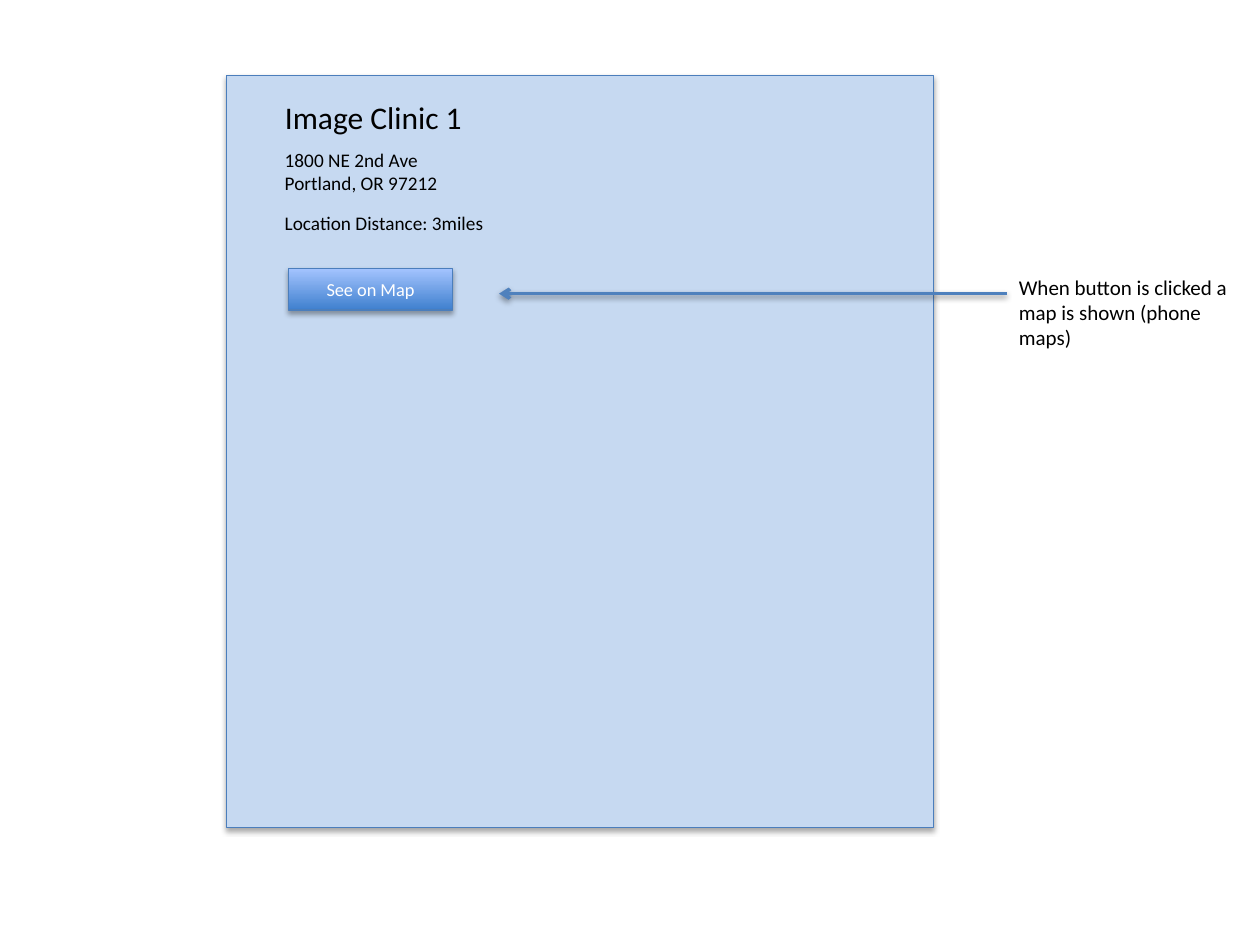
from dataclasses import dataclass

from lxml.etree import SubElement
from pptx import Presentation
from pptx.dml.color import RGBColor
from pptx.enum.shapes import MSO_CONNECTOR, MSO_SHAPE
from pptx.enum.text import MSO_ANCHOR, MSO_AUTO_SIZE, PP_ALIGN
from pptx.oxml.ns import qn
from pptx.util import Cm, Pt

FONT = "Calibri"
BLACK, WHITE = "000000", "FFFFFF"
PANEL_FILL, EDGE, ARROW = "C6D9F1", "4B7EBC", "4F81BD"
BUTTON_BOTTOM, BUTTON_TOP = "3F80CE", "A4C4FF"
TEXT_LEFT, NOTE_LEFT = 5.49, 20.29


@dataclass
class Area:
    left: float
    top: float
    width: float
    height: float

    def lengths(self) -> list:
        return [Cm(n) for n in (self.left, self.top, self.width, self.height)]


@dataclass
class Label:
    area: Area
    lines: list[str]
    size: float
    wrap: bool = False


LABELS = [
    Label(Area(TEXT_LEFT, 2.87, 3.61, 1.19), ["1800 NE 2nd Ave", "Portland, OR 97212"], 11),
    Label(Area(TEXT_LEFT, 4.14, 4.57, 0.74), ["Location Distance: 3miles"], 11),
    Label(Area(NOTE_LEFT, 5.41, 5.26, 1.27),
          ["When button is clicked a map is shown (phone maps)"], 12, True),
]


def color(value: str) -> RGBColor:
    return RGBColor.from_string(value)


def apply(target, values: dict) -> None:
    for name, value in values.items():
        setattr(target, name, value)


def write(box, lines: list[str], size: float, ink: str = BLACK,
          align=PP_ALIGN.LEFT, **frame_format) -> None:
    frame = box.text_frame
    apply(frame, frame_format)
    frame.text = "\n".join(lines)
    for para in frame.paragraphs:
        para.alignment = align
        for span in para.runs:
            apply(span.font, {"name": FONT, "size": Pt(size)})
            span.font.color.rgb = color(ink)


def add_shadow(shape, opacity: int, distance: float) -> None:
    effects = SubElement(shape.element.spPr, qn("a:effectLst"))
    shadow = SubElement(effects, qn("a:outerShdw"), blurRad=str(Pt(3.1)),
                        dist=str(Pt(distance)), dir="5400000", rotWithShape="0")
    ink = SubElement(shadow, qn("a:srgbClr"), val=BLACK)
    SubElement(ink, qn("a:alpha"), val=str(opacity * 1000))


def add_block(page, area: Area, fills: list[str]):
    """Draw a shadowed rectangle; two fills run from bottom to top."""
    block = page.shapes.add_shape(MSO_SHAPE.RECTANGLE, *area.lengths())
    if len(fills) == 1:
        block.fill.solid()
        block.fill.fore_color.rgb = color(fills[0])
    else:
        block.fill.gradient()
        block.fill.gradient_angle = 90
        for position, (stop, value) in enumerate(zip(block.fill.gradient_stops, fills)):
            stop.position = position
            stop.color.rgb = color(value)
    block.line.color.rgb = color(EDGE)
    block.line.width = Pt(0.75)
    add_shadow(block, 35, 1.8)
    return block


deck = Presentation()
apply(deck, {"slide_width": Cm(25.4), "slide_height": Cm(19.05)})
page = deck.slides.add_slide(deck.slide_layouts[5])

# Clinic panel, with the title brought in front of it
add_block(page, Area(4.57, 1.52, 14.25, 15.16), [PANEL_FILL])
title = page.shapes.title
title.element.getparent().append(title.element)
apply(title, dict(zip(("left", "top", "width", "height"),
                      Area(TEXT_LEFT, 1.85, 4.11, 1.02).lengths())))
label_format = {"vertical_anchor": MSO_ANCHOR.TOP,
                "auto_size": MSO_AUTO_SIZE.SHAPE_TO_FIT_TEXT}
write(title, ["Image Clinic 1"], 18, word_wrap=False, **label_format)

# Address, distance and side note
for label in LABELS:
    box = page.shapes.add_textbox(*label.area.lengths())
    write(box, label.lines, label.size, word_wrap=label.wrap, **label_format)

# Map button
button = add_block(page, Area(5.82, 5.41, 3.3, 0.84), [BUTTON_BOTTOM, BUTTON_TOP])
write(button, ["See on Map"], 10.5, WHITE, PP_ALIGN.CENTER,
      vertical_anchor=MSO_ANCHOR.MIDDLE)

# Arrow from the note to the button
arrow = page.shapes.add_connector(MSO_CONNECTOR.STRAIGHT, Cm(NOTE_LEFT), Cm(5.92),
                                  Cm(10.06), Cm(5.92))
arrow.line.color.rgb = color(ARROW)
arrow.line.width = Pt(2)
SubElement(arrow.line._get_or_add_ln(), qn("a:tailEnd"), type="arrow")
add_shadow(arrow, 38, 1.6)

deck.save("out.pptx")
